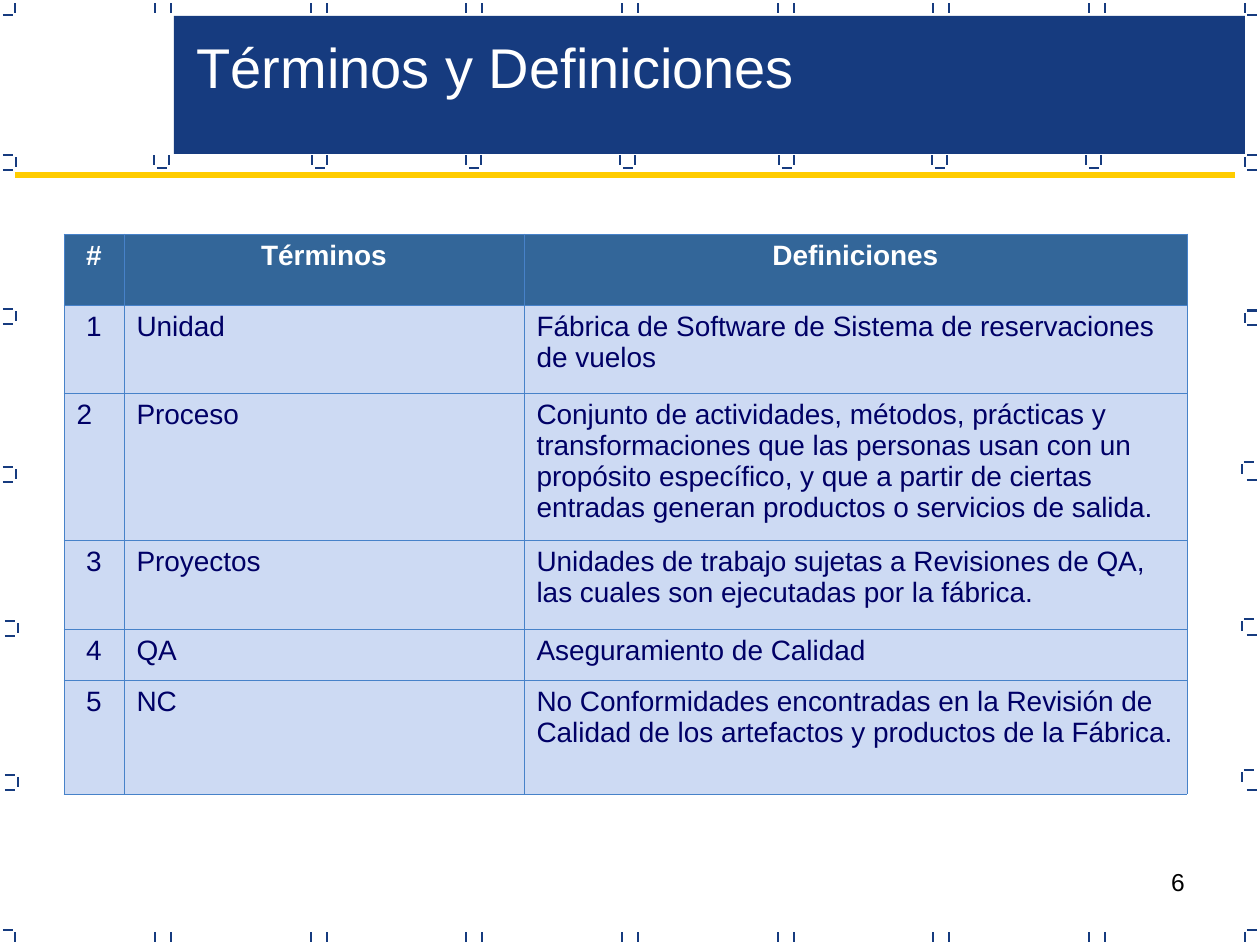
import pptx
import pptx.util
import pptx.dml.color
import pptx.enum.shapes
import pptx.enum.text
import pptx.oxml
import pptx.oxml.ns

PX = 914400 / 126
NAVY, GOLD, WHITE, INK = "163B7F", "FFCC00", "FFFFFF", "000066"
HEAD, CELL, EDGE = "336699", "CDDAF3", "4782C9"
ALIGN = pptx.enum.text.PP_ALIGN
TICK = 10

COLS = [60, 400, 663]
ROWS = [71, 88, 147, 89, 51, 114]
TERMS = [
    ("#", "Términos", "Definiciones"),
    ("1", "Unidad", "Fábrica de Software de Sistema de reservaciones de vuelos"),
    ("2", "Proceso", "Conjunto de actividades, métodos, prácticas y transformaciones "
     "que las personas usan con un propósito específico, y que a partir de ciertas "
     "entradas generan productos o servicios de salida."),
    ("3", "Proyectos", "Unidades de trabajo sujetas a Revisiones de QA, "
     "las cuales son ejecutadas por la fábrica."),
    ("4", "QA", "Aseguramiento de Calidad"),
    ("5", "NC", "No Conformidades encontradas en la Revisión de Calidad "
     "de los artefactos y productos de la Fábrica."),
]


def px(n):
    return pptx.util.Emu(round(n * PX))


def color(code):
    return pptx.dml.color.RGBColor.from_string(code)


def style(par, size, code, bold=False, align=ALIGN.LEFT):
    par.alignment = align
    par.font.name = "Arial"
    par.font.size = pptx.util.Pt(size)
    par.font.bold = bold
    par.font.color.rgb = color(code)


def line(shapes, x1, y1, x2, y2, code=NAVY, width=0.75):
    kind = pptx.enum.shapes.MSO_CONNECTOR.STRAIGHT
    rule = shapes.add_connector(kind, px(x1), px(y1), px(x2), px(y2))
    rule.line.color.rgb = color(code)
    rule.line.width = pptx.util.Pt(width)
    props = rule.element.find(pptx.oxml.ns.qn("p:spPr"))
    props.append(pptx.oxml.parse_xml(
        f'<a:effectLst {pptx.oxml.ns.nsdecls("a")}/>'))


def flat(shapes, x, y):
    line(shapes, x, y, x + TICK, y)


def stem(shapes, x, y):
    line(shapes, x, y + TICK, x, y)


def frame(shapes):
    # Pairs of ticks along the top and bottom edges
    for i in range(7):
        x = 155 + round(155.67 * i)
        for y in (3, 932):
            stem(shapes, x, y)
            stem(shapes, x + 16, y)
    # Corners
    for bar, side in ((15, 3), (1245, 1247)):
        stem(shapes, bar, 3)
        flat(shapes, side, 15)
        flat(shapes, side, 930)
        stem(shapes, bar, 932)
    # Brackets on the left edge
    for x, y in ((3, 155), (3, 309), (3, 467), (5, 621), (5, 775)):
        flat(shapes, x, y)
        stem(shapes, x + 13, y + 2)
        flat(shapes, x, y + 15)
    # Brackets on the right edge
    for x, y, low in ((1245, 155, 170), (1245, 311, 325), (1242, 462, 480),
                      (1242, 619, 635), (1242, 770, 790)):
        flat(shapes, x + 2, y)
        stem(shapes, x, y + 2)
        flat(shapes, 1247, low)
    flat(shapes, 1247, 310)
    # Cups below the banner
    for x in (154, 312, 466, 620, 779, 932, 1086):
        stem(shapes, x, 155)
        stem(shapes, x + 15, 155)
        flat(shapes, x + 3, 168)


def banner(shapes):
    kind = pptx.enum.shapes.MSO_SHAPE.RECTANGLE
    box = shapes.add_shape(kind, px(174), px(16), px(1071), px(138))
    box.shadow.inherit = False
    box.fill.solid()
    box.fill.fore_color.rgb = color(NAVY)
    box.line.fill.background()


def heading(shapes):
    title = shapes.title
    shapes.element.append(title.element)  # in front of the banner
    title.left, title.top = px(184), px(26)
    title.width, title.height = px(624), px(81)
    text = title.text_frame
    text.text = "Términos y Definiciones"
    text.word_wrap = False
    text.auto_size = pptx.enum.text.MSO_AUTO_SIZE.SHAPE_TO_FIT_TEXT
    text.vertical_anchor = pptx.enum.text.MSO_ANCHOR.TOP
    style(text.paragraphs[0], 32, WHITE)


def border(cell):
    props = cell._tc.get_or_add_tcPr()
    for i, side in enumerate(("lnL", "lnR", "lnT", "lnB")):
        props.insert(i, pptx.oxml.parse_xml(
            f'<a:{side} {pptx.oxml.ns.nsdecls("a")} w="5715"><a:solidFill>'
            f'<a:srgbClr val="{EDGE}"/></a:solidFill></a:{side}>'))


def grid(shapes):
    table = shapes.add_table(len(ROWS), len(COLS), px(64), px(234),
                             px(sum(COLS)), px(sum(ROWS))).table
    table.horz_banding = False
    for col, size in zip(table.columns, COLS):
        col.width = px(size)
    for r, (row, size) in enumerate(zip(table.rows, ROWS)):
        row.height = px(size)
        top = r == 0
        for c, cell in enumerate(row.cells):
            cell.text = TERMS[r][c]
            cell.fill.solid()
            cell.fill.fore_color.rgb = color(HEAD if top else CELL)
            border(cell)
            mid = top or (c == 0 and r != 2)
            style(cell.text_frame.paragraphs[0], 16, WHITE if top else INK,
                  top, ALIGN.CENTER if mid else ALIGN.LEFT)


def number(shapes):
    box = shapes.add_textbox(px(903), px(861), px(294), px(66))
    box.text_frame.word_wrap = True
    box.text_frame.text = "6"
    style(box.text_frame.paragraphs[0], 14, "000000", align=ALIGN.RIGHT)


def main():
    deck = pptx.Presentation()
    deck.slide_width, deck.slide_height = px(1260), px(945)
    slide = deck.slides.add_slide(deck.slide_layouts[5])
    shapes = slide.shapes
    # Page furniture
    number(shapes)
    frame(shapes)
    banner(shapes)
    # Content
    heading(shapes)
    line(shapes, 15, 175, 1235, 175, GOLD, 3)
    grid(shapes)
    deck.save("out.pptx")


if __name__ == "__main__":
    main()
